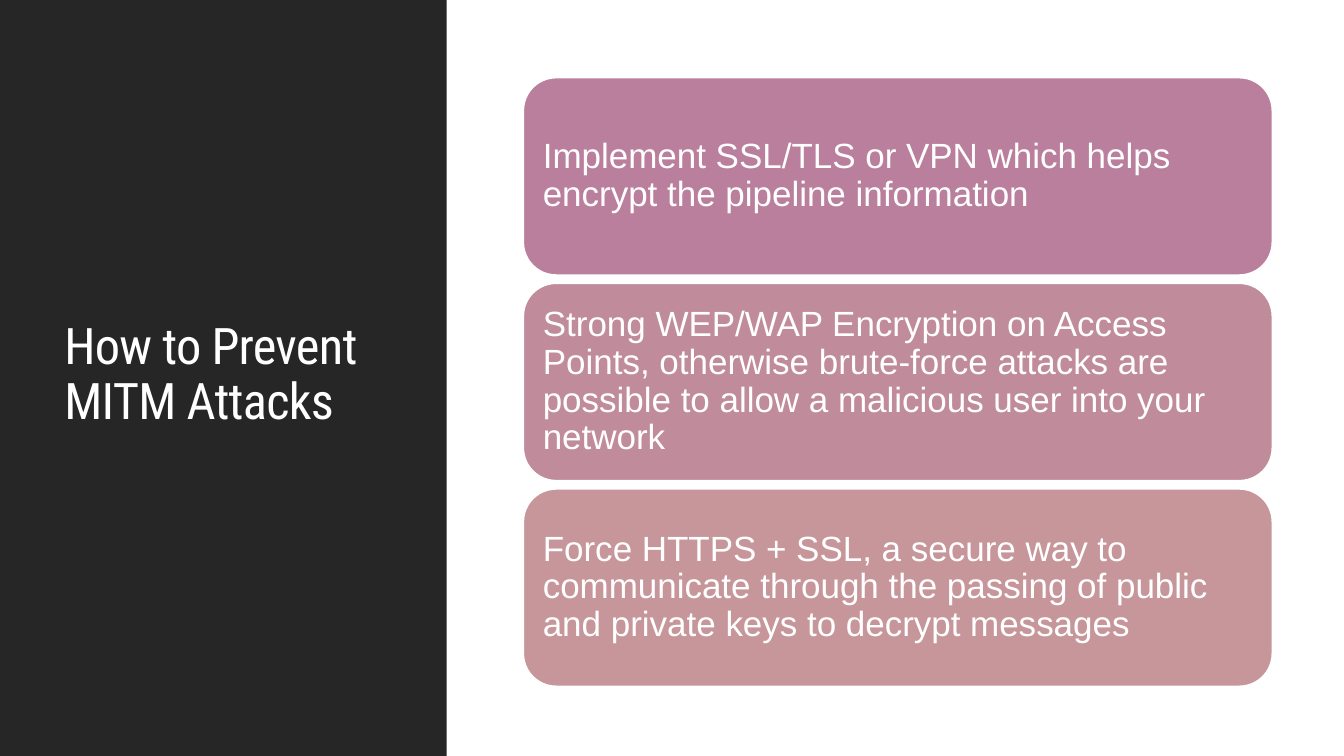
import pptx
import pptx.dml.color
import pptx.enum.shapes
import pptx.enum.text
import pptx.util

Inches = pptx.util.Inches
Pt = pptx.util.Pt

TITLE = "How to Prevent MITM Attacks"
MEASURES = [
    ("Implement SSL/TLS or VPN which helps encrypt the pipeline information", "BA7F9C"),
    ("Strong WEP/WAP Encryption on Access Points, otherwise brute-force attacks "
     "are possible to allow a malicious user into your network", "C08B9A"),
    ("Force HTTPS + SSL, a secure way to communicate through the passing of "
     "public and private keys to decrypt messages", "C6969A"),
]


def rgb(value):
    return pptx.dml.color.RGBColor.from_string(value)


def add_box(slide, kind, left, top, width, height, fill):
    sp = slide.shapes.add_shape(kind, Inches(left), Inches(top), Inches(width), Inches(height))
    sp.shadow.inherit = False
    sp.fill.solid()
    sp.fill.fore_color.rgb = rgb(fill)
    sp.line.fill.background()
    return sp


def write_text(sp, text, font, size, inset):
    tf = sp.text_frame
    tf.word_wrap = True
    tf.vertical_anchor = pptx.enum.text.MSO_ANCHOR.MIDDLE
    tf.margin_left = tf.margin_right = Inches(0.1)
    tf.margin_top = tf.margin_bottom = Inches(inset)
    p = tf.paragraphs[0]
    p.alignment = pptx.enum.text.PP_ALIGN.LEFT
    p.line_spacing = 0.9
    p.font.name = font
    p.font.size = Pt(size)
    p.font.color.rgb = rgb("FFFFFF")
    r = p.add_run()
    r.text = text
    return r


def add_title_panel(slide, left, top, width, height):
    add_box(slide, pptx.enum.shapes.MSO_SHAPE.RECTANGLE, left, top, width, height, "262626")
    title = slide.shapes.add_textbox(
        Inches(left + 0.54), Inches(top + 0.57), Inches(width - 1.06), Inches(height - 1.19))
    r = write_text(title, TITLE, "Roboto Condensed", 36, 0.05)
    r._r.get_or_add_rPr().set("spc", "-50")


def add_measures(slide, left, top, width, height, gap=0.08):
    card_height = (height - gap * (len(MEASURES) - 1)) / len(MEASURES)
    for i, (text, fill) in enumerate(MEASURES):
        card = add_box(slide, pptx.enum.shapes.MSO_SHAPE.ROUNDED_RECTANGLE,
                       left, top + i * (card_height + gap), width, card_height, fill)
        card.line.color.rgb = rgb("FFFFFF")
        card.line.width = Pt(1.25)
        write_text(card, text, "Arial", 25, 0.1)


def main():
    prs = pptx.Presentation()
    prs.slide_width = Inches(13.33)
    prs.slide_height = Inches(7.5)
    slide = prs.slides.add_slide(prs.slide_layouts[6])
    add_title_panel(slide, 0, 0, 4.43, 7.5)
    add_measures(slide, 5.19, 0.77, 7.43, 6.04)
    prs.save("out.pptx")


if __name__ == "__main__":
    main()
